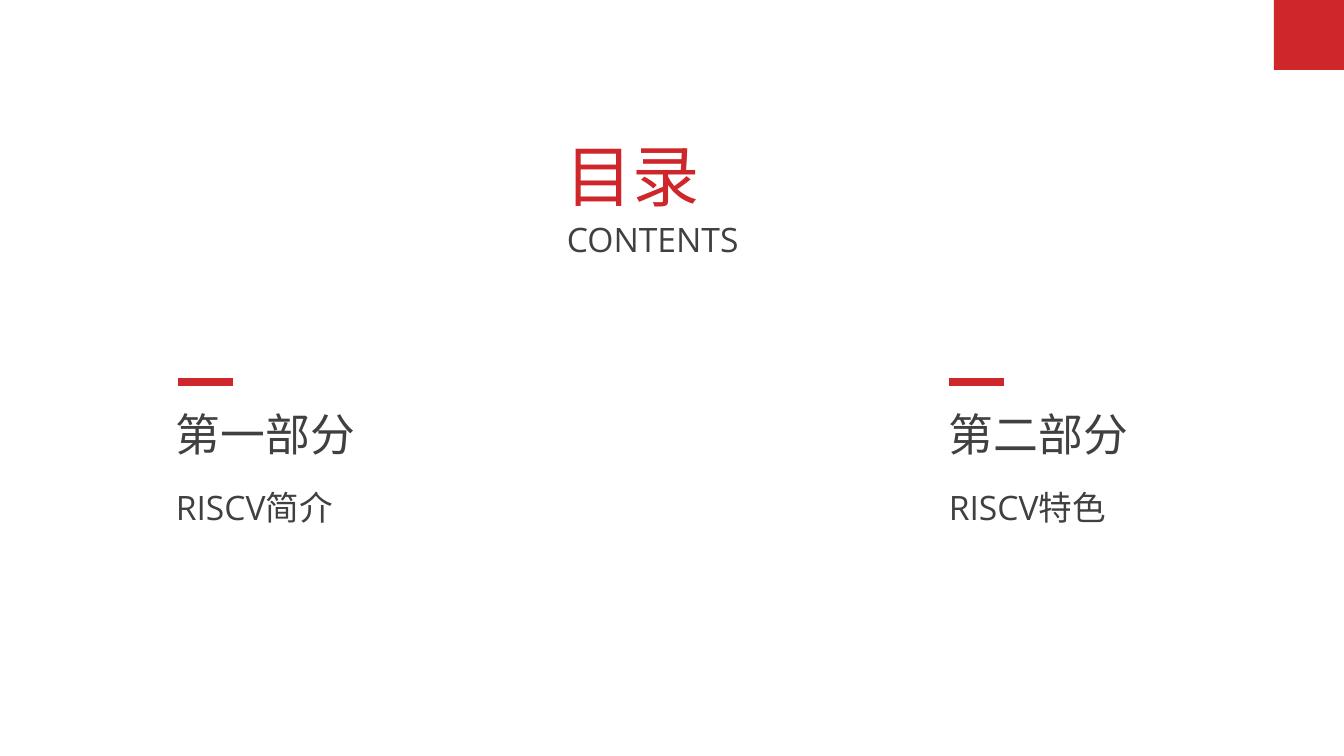
import pptx
import pptx.dml.color
import pptx.enum.shapes
import pptx.enum.text
import pptx.oxml
import pptx.oxml.ns
import pptx.util

RED = pptx.dml.color.RGBColor(0xCE, 0x26, 0x2B)
GREY = pptx.dml.color.RGBColor(0x40, 0x40, 0x40)
FONT = "Open Sans"
PX = 914400 / 100.8
WIDTH, HEIGHT = 1344, 756
JUSTIFY = pptx.enum.text.PP_ALIGN.JUSTIFY
LEFT = pptx.enum.text.PP_ALIGN.LEFT


def px(length):
    return pptx.util.Emu(round(length * PX))


def write(shape, text, size, color=GREY, align=JUSTIFY, wrap=True):
    frame = shape.text_frame
    frame.word_wrap = wrap
    frame.auto_size = pptx.enum.text.MSO_AUTO_SIZE.NONE
    frame.vertical_anchor = pptx.enum.text.MSO_ANCHOR.TOP
    paragraph = frame.paragraphs[0]
    paragraph.alignment = align
    run = paragraph.add_run()
    run.text = text
    run.font.size = pptx.util.Pt(size)
    run.font.name = FONT
    run.font.color.rgb = color
    # East Asian characters take their typeface from a separate element
    east_asian = pptx.oxml.parse_xml(
        f'<a:ea {pptx.oxml.ns.nsdecls("a")} typeface="{FONT}"/>')
    run.font.fill  # the colour precedes the typefaces
    run.font._element.append(east_asian)


class ContentsSlide:
    def __init__(self, presentation):
        self.slide = presentation.slides.add_slide(presentation.slide_layouts[5])

    def title(self, text, left, top, width, height, **style):
        heading = self.slide.shapes.title
        heading.left, heading.top = px(left), px(top)
        heading.width, heading.height = px(width), px(height)
        write(heading, text, **style)

    def text(self, text, left, top, width, height, **style):
        box = self.slide.shapes.add_textbox(px(left), px(top), px(width), px(height))
        write(box, text, **style)

    def square(self, left, top, side):
        corner = self.slide.shapes.add_shape(
            pptx.enum.shapes.MSO_SHAPE.RECTANGLE, px(left), px(top), px(side), px(side))
        corner.shadow.inherit = False
        corner.fill.solid()
        corner.fill.fore_color.rgb = RED
        corner.line.fill.background()

    def bar(self, left, y, length):
        accent = self.slide.shapes.add_connector(
            pptx.enum.shapes.MSO_CONNECTOR.STRAIGHT,
            px(left), px(y), px(left + length), px(y))
        accent.line.color.rgb = RED
        accent.line.width = pptx.util.Pt(6)
        accent._element.spPr.append(
            pptx.oxml.parse_xml(f'<a:effectLst {pptx.oxml.ns.nsdecls("a")}/>'))

    def section(self, heading, topic, left, bar_left):
        self.text(heading, left, 402, 202, 65, size=32, align=LEFT, wrap=False)
        self.text(topic, left, 482, 249, 50, size=24)
        self.bar(bar_left, 382, 55)


def main():
    presentation = pptx.Presentation()
    presentation.slide_width, presentation.slide_height = px(WIDTH), px(HEIGHT)
    contents = ContentsSlide(presentation)
    contents.square(WIDTH - 70, 0, 70)
    contents.title("目录", 555, 129, 233, 92, size=48, color=RED)
    contents.text("CONTENTS", 557, 214, 229, 50, size=24)
    contents.section("第一部分", "RISCV简介", left=166, bar_left=178)
    contents.section("第二部分", "RISCV特色", left=939, bar_left=949)
    presentation.save("out.pptx")


if __name__ == "__main__":
    main()
